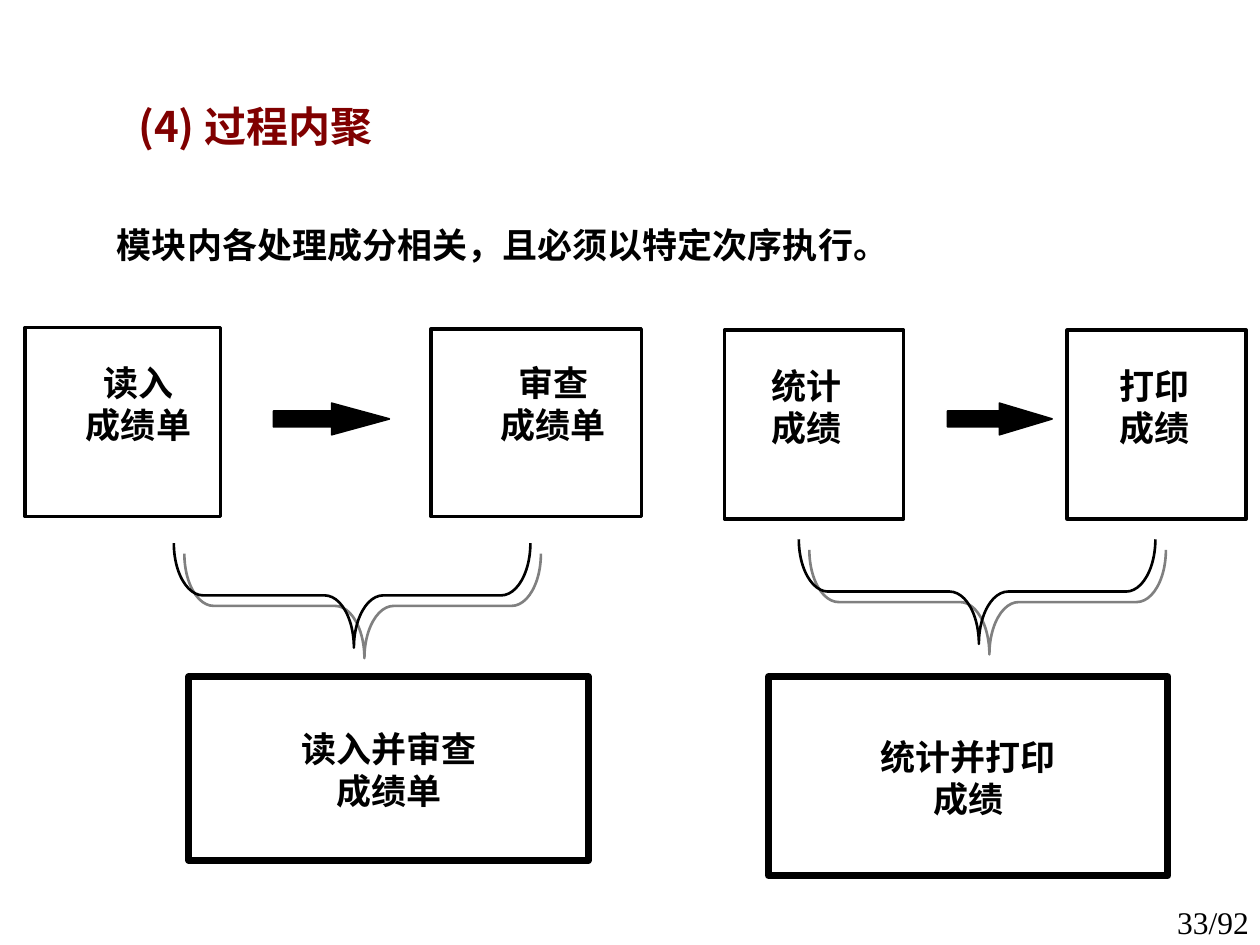
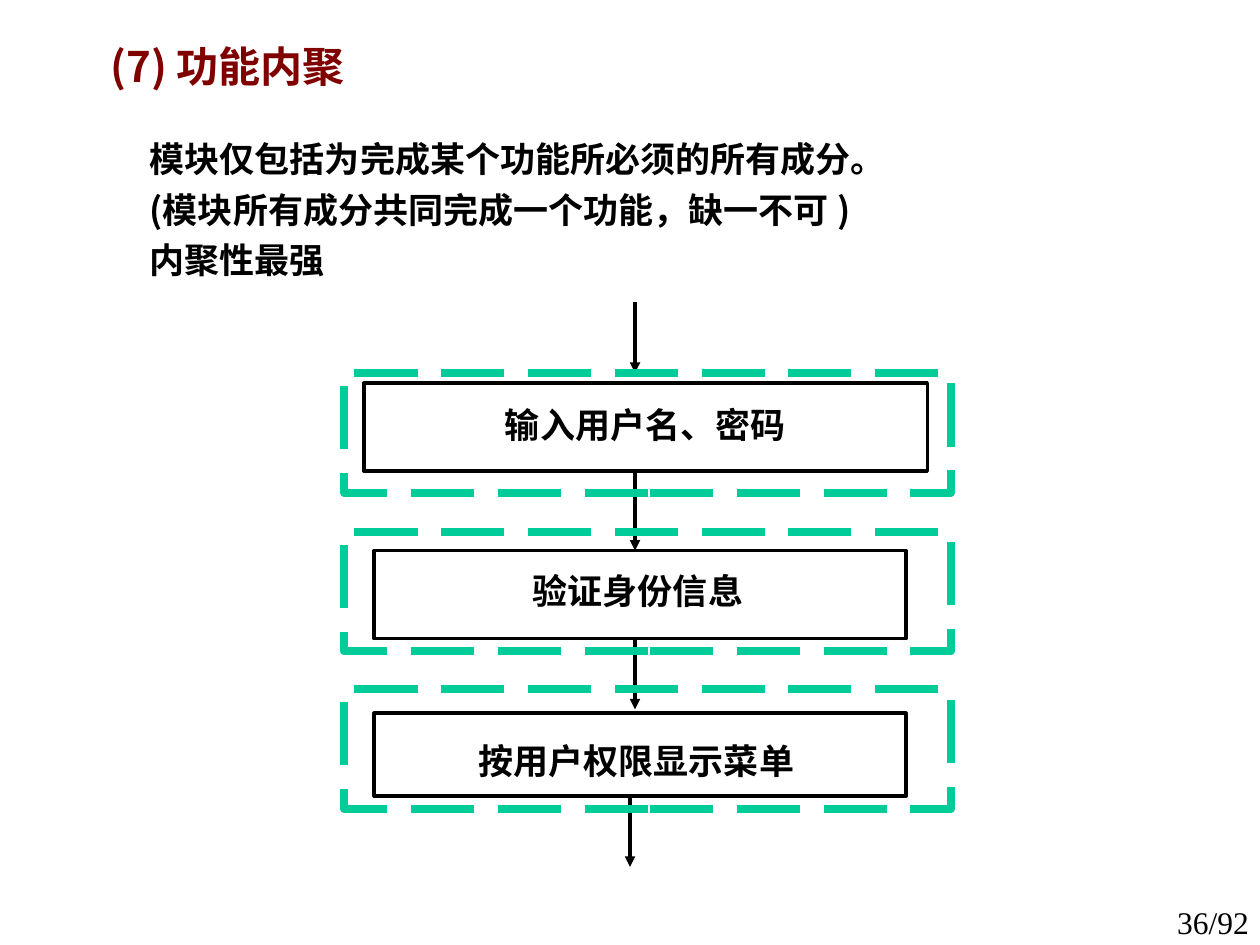
from lxml import etree
from pptx import Presentation
from pptx.dml.color import RGBColor
from pptx.enum.dml import MSO_LINE
from pptx.enum.shapes import MSO_CONNECTOR, MSO_SHAPE
from pptx.enum.text import MSO_ANCHOR, PP_ALIGN
from pptx.oxml.ns import qn
from pptx.util import Inches, Pt

RECT, ARROW, BRACE = MSO_SHAPE.RECTANGLE, MSO_SHAPE.RIGHT_ARROW, MSO_SHAPE.LEFT_BRACE
LEFT, CENTER, RIGHT = PP_ALIGN.LEFT, PP_ALIGN.CENTER, PP_ALIGN.RIGHT
TOP, MIDDLE = MSO_ANCHOR.TOP, MSO_ANCHOR.MIDDLE
STRAIGHT, LONG_DASH = MSO_CONNECTOR.STRAIGHT, MSO_LINE.LONG_DASH

COLORS = {"ink": "000000", "paper": "FFFFFF", "title": "800000",
          "module": "00CC99", "shadow": "808080"}
CJK, LATIN, SERIF = "Noto Sans CJK SC", "Roboto", "Times New Roman"

# Content: boxes are (left, top, width, height) in inches
PROCEDURAL = {
    "title": ("(4) 过程内聚", (1, 0.36, 8.5, 1.25)),
    "body": (["模块内各处理成分相关，且必须以特定次序执行。"], (0.83, 1.7, 9.17, 4.5)),
    "page": "33/92",
}
# Step: box, label lines, label left and top
STEPS = [
    ((0.2, 2.6, 1.55, 1.5), ["读入", "成绩单"], (0.58, 2.8)),
    ((3.42, 2.61, 1.67, 1.49), ["审查", "成绩单"], (3.87, 2.8)),
    ((5.75, 2.62, 1.42, 1.5), ["统计", "成绩"], (6.02, 2.82)),
    ((8.47, 2.62, 1.42, 1.5), ["打印", "成绩"], (8.78, 2.82)),
]
STEP_ARROWS = [((2.17, 3.2, 0.92, 0.25), 1.83), ((7.52, 3.2, 0.83, 0.25), 1.67)]
BRACES = [(2.38, 3.31, 0.83, 2.83), (7.34, 3.28, 0.83, 2.83)]
MERGED = [
    ((1.5, 5.37, 3.17, 1.46), ["读入并审查", "成绩单"]),
    ((6.1, 5.37, 3.17, 1.58), ["统计并打印", "成绩"]),
]

FUNCTIONAL = {
    "title": ("(7) 功能内聚", (0.78, 0, 6.67, 1.02)),
    "body": (["模块仅包括为完成某个功能所必须的所有成分。",
              "(模块所有成分共同完成一个功能，缺一不可 )",
              "内聚性最强"], (1.09, 1.02, 8.24, 1.64)),
    "page": "36/92",
}
LOGIN_STEPS = [
    ((2.89, 3.04, 4.47, 0.7), ["输入用户名、密码"], (3.91, 3.13)),
    ((2.97, 4.37, 4.22, 0.7), ["验证身份信息"], (4.13, 4.45)),
    ((2.97, 5.66, 4.22, 0.66), ["按用户权限显示菜单"], (3.7, 5.8)),
]
FLOW = [(5.04, 2.4, 2.96), (5.04, 3.73, 4.37), (5.04, 5.07, 5.63), (5, 6.32, 6.88)]
MODULE_TOPS = [2.96, 4.22, 5.47]


def rgb(name):
    return RGBColor.from_string(COLORS[name])


def inches(box):
    return [Inches(v) for v in box]


def write(shape, lines, size=20, color="ink", font=CJK, bold=True, align=LEFT,
          anchor=TOP, wrap=True, gap=0):
    frame = shape.text_frame
    frame.word_wrap = wrap
    frame.vertical_anchor = anchor
    frame.margin_left = frame.margin_right = Inches(0.1)
    frame.margin_top, frame.margin_bottom = Inches(0.07), Inches(0.05)
    for i, line in enumerate(lines):
        paragraph = frame.paragraphs[0] if i == 0 else frame.add_paragraph()
        paragraph.alignment = align
        paragraph.line_spacing = Pt(size * 1.2)
        if i:
            paragraph.space_before = Pt(gap)
        run = paragraph.add_run()
        run.text = line
        run.font.size, run.font.bold, run.font.name = Pt(size), bold, font
        run.font.color.rgb = rgb(color)
        # East Asian typeface
        etree.SubElement(run.font._element, qn("a:ea"), typeface=CJK)


def add_text(slide, lines, box, **style):
    write(slide.shapes.add_textbox(*inches(box)), lines, **style)


def add_block(slide, kind, box, fill="paper", line="ink", width=2):
    shape = slide.shapes.add_shape(kind, *inches(box))
    shape.shadow.inherit = False
    if fill:
        shape.fill.solid()
        shape.fill.fore_color.rgb = rgb(fill)
    else:
        shape.fill.background()
    shape.line.color.rgb = rgb(line)
    shape.line.width = Pt(width)
    return shape


def add_step(slide, box, lines, label_at, align=CENTER):
    add_block(slide, RECT, box)
    label_width = 0.28 * max(map(len, lines)) + 0.2
    label_height = 0.33 * len(lines) + 0.1
    add_text(slide, lines, (*label_at, label_width, label_height), align=align, wrap=False)


def add_brace(slide, box):
    brace = add_block(slide, BRACE, box, fill=None, width=1.5)
    brace.rotation = 270
    brace.adjustments[0], brace.adjustments[1] = 0.28, 0.505
    effects = brace._element.spPr.find(qn("a:effectLst"))
    shadow = etree.SubElement(effects, qn("a:outerShdw"), dist=str(Pt(8.5)),
                              dir="2700000", algn="ctr", rotWithShape="0")
    etree.SubElement(shadow, qn("a:srgbClr"), val=COLORS["shadow"])


def add_flow(slide, x, top, bottom):
    flow = slide.shapes.add_connector(STRAIGHT, *inches((x, top, x, bottom)))
    flow.line.color.rgb = rgb("ink")
    flow.line.width = Pt(2)
    etree.SubElement(flow.line._get_or_add_ln(), qn("a:tailEnd"), type="triangle")
    etree.SubElement(flow._element.spPr, qn("a:effectLst"))


def start_slide(prs, content):
    slide = prs.slides.add_slide(prs.slide_layouts[6])
    add_text(slide, [content["page"]], (8.91, 7.1, 1.1, 0.4), size=18, font=SERIF,
             bold=False, align=RIGHT)
    title, title_box = content["title"]
    add_text(slide, [title], title_box, size=24, color="title", anchor=MIDDLE)
    body, body_box = content["body"]
    add_text(slide, body, body_box, gap=5)
    return slide


def build_procedural(prs):
    slide = start_slide(prs, PROCEDURAL)
    for step in STEPS:
        add_step(slide, *step)
    for box, head in STEP_ARROWS:
        arrow = add_block(slide, ARROW, box, fill="ink", width=1)
        arrow.adjustments[1] = head
    for box in BRACES:
        add_brace(slide, box)
    for box, lines in MERGED:
        merged = add_block(slide, RECT, box, width=4)
        write(merged, lines, font=LATIN, align=CENTER, anchor=MIDDLE, wrap=False)


def build_functional(prs):
    slide = start_slide(prs, FUNCTIONAL)
    for step in LOGIN_STEPS:
        add_step(slide, *step, align=LEFT)
    for flow in FLOW:
        add_flow(slide, *flow)
    # Dashed module outlines
    for top in MODULE_TOPS:
        module = add_block(slide, RECT, (2.73, top, 4.82, 0.95), fill=None,
                           line="module", width=4.5)
        module.line.dash_style = LONG_DASH


def main():
    prs = Presentation()
    prs.slide_width, prs.slide_height = Inches(10), Inches(7.5)
    build_procedural(prs)
    build_functional(prs)
    prs.save("out.pptx")


if __name__ == "__main__":
    main()
